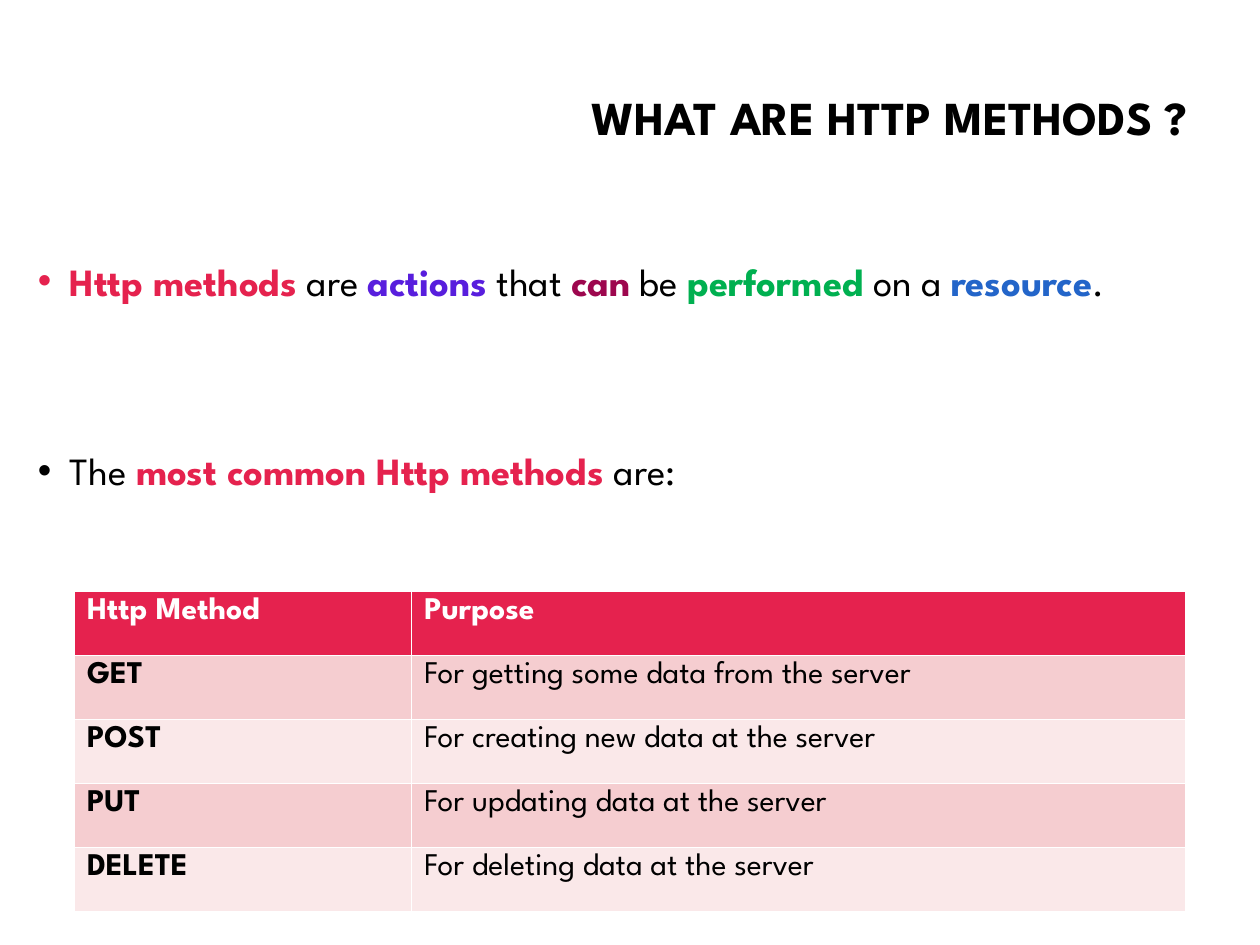
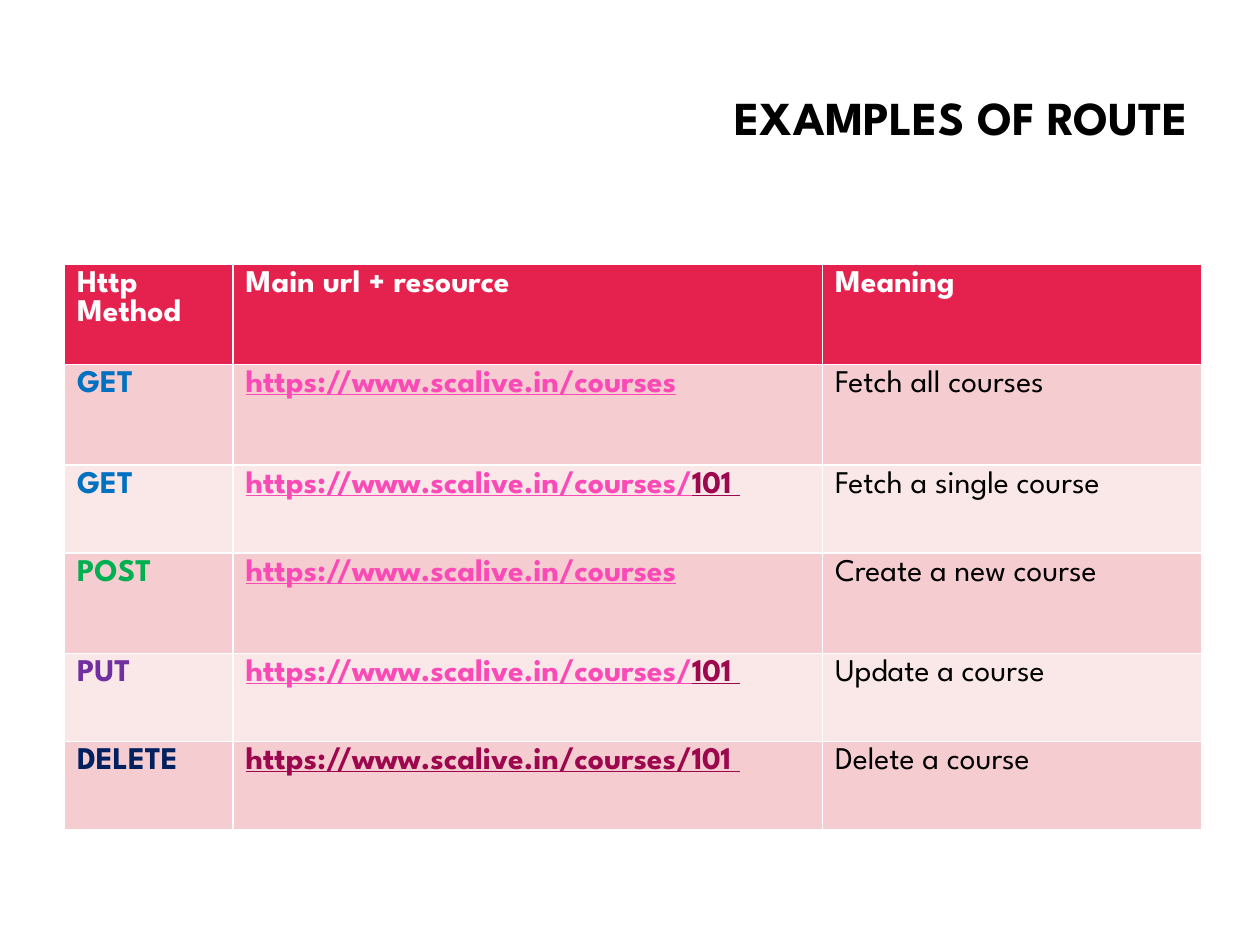
"""Builds two slides on HTTP methods and example routes."""
import pptx
import pptx.dml.color
import pptx.enum.text
import pptx.oxml
import pptx.oxml.ns
import pptx.util
from pptx.util import Cm

FONT = "League Spartan"
BLACK, WHITE, RED, PLUM = "000000", "FFFFFF", "E5224E", "9D074E"
GREEN, PINK, BLUE = "00B050", "FB4AB6", "0070C0"
BANDS = ("F5CDD0", "FAE8E9")

BULLETS = [
    [("Http methods ", RED), ("are ", BLACK), ("actions", "581EDD"),
     (" that ", BLACK), ("can", PLUM), (" be ", BLACK),
     ("performed", GREEN), (" on a ", BLACK), ("resource", "2365C9"),
     (".", BLACK)],
    [("The ", BLACK), ("most common Http methods ", RED), ("are:", BLACK)],
]

METHODS = [
    ("GET", "For getting some data from the server"),
    ("POST", "For creating new data at the server"),
    ("PUT", "For updating data at the server"),
    ("DELETE", "For deleting data at the server"),
]

URL = "https://www.scalive.in/courses"
ALL_COURSES = [(URL, PINK)]
ONE_COURSE = [(URL + "/", PINK), ("101 ", PLUM)]
ROUTES = [
    ("GET", BLUE, ALL_COURSES, "Fetch all courses"),
    ("GET", BLUE, ONE_COURSE, "Fetch a single course"),
    ("POST", GREEN, ALL_COURSES, "Create a new course"),
    ("PUT", "7030A0", ONE_COURSE, "Update a course"),
    ("DELETE", "002060", [(URL + "/101 ", PLUM)], "Delete a course"),
]


def rgb(value):
    """Return the colour for a hex string."""
    return pptx.dml.color.RGBColor.from_string(value)


def add_text(p, text, size=18, color=BLACK, bold=False, underline=None):
    """Append one formatted run to a paragraph."""
    r = p.add_run()
    r.text = text
    r.font.name = FONT
    r.font.size = pptx.util.Pt(size)
    r.font.color.rgb = rgb(color)
    r.font.bold = bold
    r.font.underline = underline


def place(sp, left, top, width, height):
    """Move and size a shape, in centimetres."""
    sp.left, sp.top, sp.width, sp.height = map(Cm, (left, top, width, height))


def add_slide(prs, layout, title):
    """Add a slide with the shared right-aligned title."""
    s = prs.slides.add_slide(prs.slide_layouts.get_by_name(layout))
    sp = s.shapes.title
    place(sp, 6.5, 0.64, 17.7, 3.58)
    tf = sp.text_frame
    tf.auto_size = pptx.enum.text.MSO_AUTO_SIZE.NONE
    tf.vertical_anchor = pptx.enum.text.MSO_ANCHOR.MIDDLE
    p = tf.paragraphs[0]
    p.alignment = pptx.enum.text.PP_ALIGN.RIGHT
    p.line_spacing = 0.9
    add_text(p, title, size=27, bold=True)
    return s


def add_bullets(sp, bullets):
    """Fill the body placeholder with bullets of coloured key words."""
    place(sp, 0.51, 4.6, 24.46, 14.2)
    tf = sp.text_frame
    tf.auto_size = pptx.enum.text.MSO_AUTO_SIZE.NONE
    for i, parts in enumerate(bullets):
        p = tf.add_paragraph() if i else tf.paragraphs[0]
        p.line_spacing = 1.5
        p.space_before = pptx.util.Pt(68.5 if i else 0)
        pPr = p._p.get_or_add_pPr()
        pPr.set("marL", str(Cm(0.64)))
        pPr.set("indent", str(-Cm(0.64)))
        for tag, key, value in (("buFont", "typeface", "Arial"), ("buChar", "char", "•")):
            bu = pptx.oxml.parse_xml(f'<a:{tag} {pptx.oxml.ns.nsdecls("a")} {key}="{value}"/>')
            pPr.append(bu)
        for text, color in parts:
            add_text(p, text, size=22, color=color, bold=color != BLACK)


def add_table(s, left, top, widths, heights, header, rows):
    """Add a banded table; each cell is a list of (text, format) runs."""
    grid = [[[(text, dict(color=WHITE, bold=True))] for text in header], *rows]
    table = s.shapes.add_table(len(grid), len(widths), Cm(left), Cm(top),
                               Cm(sum(widths)), Cm(sum(heights))).table
    for column, width in zip(table.columns, widths):
        column.width = Cm(width)
    for i, (row, height, cells) in enumerate(zip(table.rows, heights, grid)):
        row.height = Cm(height)
        for cell, runs in zip(row.cells, cells):
            cell.fill.solid()
            cell.fill.fore_color.rgb = rgb(BANDS[(i - 1) % 2] if i else RED)
            for text, style in runs:
                add_text(cell.text_frame.paragraphs[0], text, **style)


def main():
    """Build and save the presentation."""
    prs = pptx.Presentation()
    prs.slide_width, prs.slide_height = Cm(25.4), Cm(19.05)

    s = add_slide(prs, "Title and Content", "WHAT ARE HTTP METHODS ?")
    add_bullets(s.placeholders[1], BULLETS)
    rows = [([(method, dict(bold=True))], [(purpose, {})])
            for method, purpose in METHODS]
    add_table(s, 1.5, 11.92, (6.8, 15.6), [1.29] * 5,
              ("Http Method", "Purpose"), rows)

    s = add_slide(prs, "Title Only", "EXAMPLES OF ROUTE")
    rows = [([(method, dict(color=color, bold=True))],
             [(part, dict(color=c, bold=True, underline=True)) for part, c in url],
             [(meaning, {})])
            for method, color, url, meaning in ROUTES]
    add_table(s, 1.3, 5.33, (3.4, 11.88, 7.64), (2.02, 2.02, 1.78, 2.02, 1.78, 1.78),
              ("Http Method", "Main url + resource", "Meaning"), rows)

    prs.save("out.pptx")


if __name__ == "__main__":
    main()
